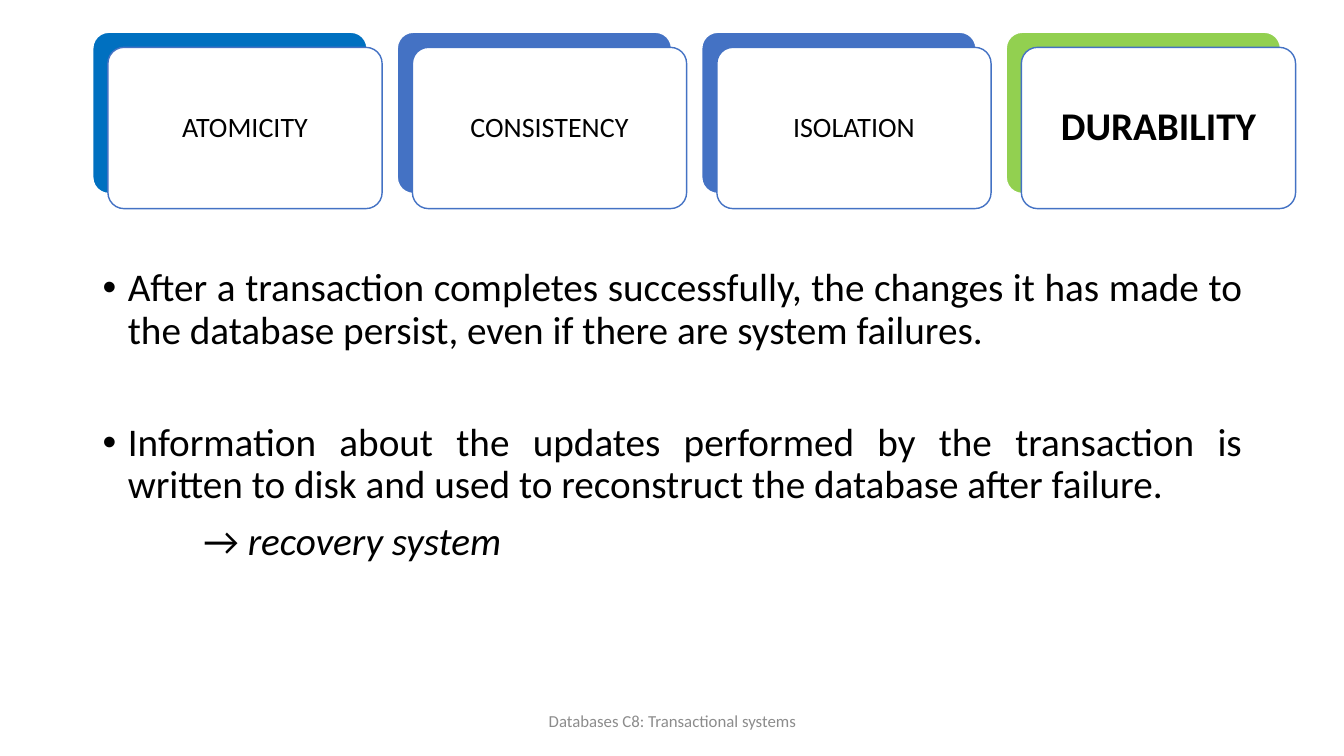
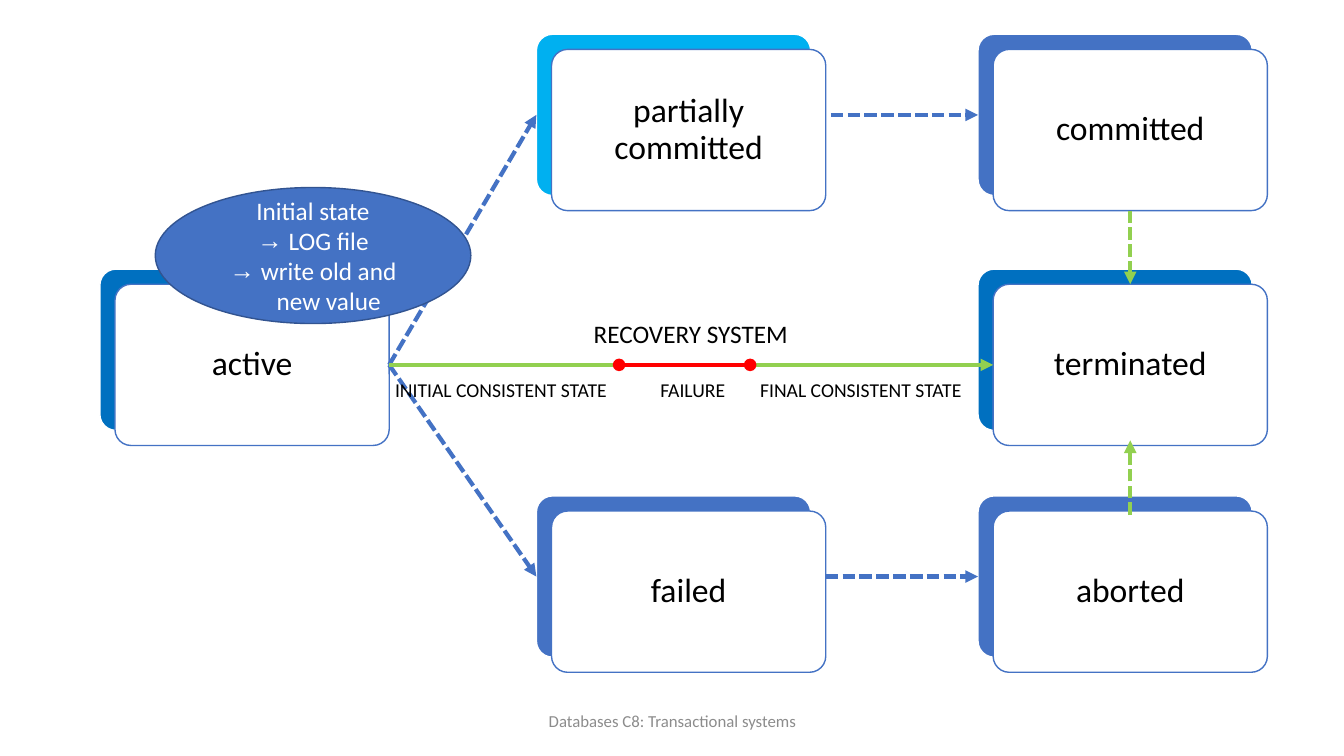
from lxml import etree
from pptx import Presentation
from pptx.dml.color import RGBColor
from pptx.enum.dml import MSO_LINE
from pptx.enum.shapes import MSO_CONNECTOR, MSO_SHAPE as Preset
from pptx.enum.text import MSO_ANCHOR as Anchor, PP_ALIGN as Align
from pptx.oxml.ns import qn
from pptx.util import Inches, Pt

WHITE = RGBColor(0xFF, 0xFF, 0xFF)
BLACK = RGBColor(0x00, 0x00, 0x00)
GRAY = RGBColor(0x8C, 0x8C, 0x8C)
BLUE = RGBColor(0x44, 0x72, 0xC4)
NAVY = RGBColor(0x32, 0x54, 0x91)
DEEP_BLUE = RGBColor(0x00, 0x70, 0xC0)
SKY = RGBColor(0x00, 0xB0, 0xF0)
GREEN = RGBColor(0x92, 0xD0, 0x50)
RED = RGBColor(0xFF, 0x00, 0x00)

TOP, LEFT, BOTTOM, RIGHT = range(4)


class Deck:
    FONT, BULLET_FONT = "Calibri", "Arial"
    FOOTER = "Databases C8: Transactional systems"
    CARD_W, CARD_H, CARD_SHIFT = 2.72, 1.6, 0.15

    def __init__(self):
        self.prs = Presentation()
        self.prs.slide_width, self.prs.slide_height = Inches(13.33), Inches(7.5)
        self.slide = None

    def new_slide(self):
        self.slide = self.prs.slides.add_slide(self.prs.slide_layouts[6])
        self.text(4.42, 6.95, 4.5, 0.4, self.FOOTER, 12, GRAY, Align.CENTER)

    def style(self, paragraph, size, color, align=Align.LEFT, bold=False, italic=False):
        paragraph.alignment = align
        for run in paragraph.runs:
            font = run.font
            font.name, font.size, font.bold, font.italic = self.FONT, Pt(size), bold, italic
            font.color.rgb = color

    def indent(self, paragraph, left, first=0, bullet=None):
        props = paragraph._p.get_or_add_pPr()
        props.set("marL", str(Inches(left)))
        props.set("indent", str(Inches(first)))
        if bullet:
            etree.SubElement(props, qn("a:buFont")).set("typeface", self.BULLET_FONT)
            etree.SubElement(props, qn("a:buChar")).set("char", bullet)

    def text(self, x, y, w, h, words, size, color=BLACK, align=Align.LEFT, wrap=True):
        box = self.slide.shapes.add_textbox(Inches(x), Inches(y), Inches(w), Inches(h))
        frame = box.text_frame
        frame.word_wrap, frame.vertical_anchor = wrap, Anchor.MIDDLE
        frame.text = words
        self.style(frame.paragraphs[0], size, color, align)

    def body(self, x, y, w, h, items, size=28):
        """Each item: words, space before, left indent, bullet."""
        box = self.slide.shapes.add_textbox(Inches(x), Inches(y), Inches(w), Inches(h))
        frame = box.text_frame
        frame.word_wrap = True
        frame.text = "\n".join(item[0] for item in items)
        for paragraph, (_, before, left, bullet) in zip(frame.paragraphs, items):
            paragraph.line_spacing, paragraph.space_before = 0.9, Pt(before)
            self.indent(paragraph, left, -left if bullet else 0, bullet)
            self.style(paragraph, size, BLACK, Align.JUSTIFY if bullet else Align.LEFT)
        return frame.paragraphs

    def shape(self, preset, x, y, w, h, fill, line):
        shape = self.slide.shapes.add_shape(preset, Inches(x), Inches(y), Inches(w), Inches(h))
        shape.shadow.inherit = False
        shape.fill.solid()
        shape.fill.fore_color.rgb = fill
        shape.line.color.rgb = line
        shape.line.width = Pt(1)
        shape.text_frame.word_wrap = True
        shape.text_frame.vertical_anchor = Anchor.MIDDLE
        return shape

    def card(self, x, y, words, accent=BLUE, size=24, bold=False):
        """Coloured plate with a white front; returns both."""
        plates = []
        for shift, fill, line in ((0, accent, WHITE), (self.CARD_SHIFT, WHITE, BLUE)):
            plate = self.shape(Preset.ROUNDED_RECTANGLE, x + shift, y + shift,
                               self.CARD_W, self.CARD_H, fill, line)
            plate.adjustments[0] = 0.1
            plates.append(plate)
        frame = plates[1].text_frame
        frame.margin_left = frame.margin_right = Inches(0.07)
        frame.margin_top = frame.margin_bottom = Inches(0.07)
        frame.text = words
        frame.paragraphs[0].line_spacing = 0.9
        self.style(frame.paragraphs[0], size, BLACK, Align.CENTER, bold)
        return plates

    def connect(self, start, end, color, dashed=True, head=None, tail="triangle"):
        """Each end is an (x, y) point or a (shape, side) pair."""
        points = [(0, 0) if hasattr(e[0], "shape_id") else e for e in (start, end)]
        line = self.slide.shapes.add_connector(
            MSO_CONNECTOR.STRAIGHT, *(Inches(v) for point in points for v in point))
        for spot, join in ((start, line.begin_connect), (end, line.end_connect)):
            if hasattr(spot[0], "shape_id"):
                join(*spot)
        line.line.color.rgb, line.line.width = color, Pt(3)
        if dashed:
            line.line.dash_style = MSO_LINE.SQUARE_DOT
        outline = line.line._get_or_add_ln()
        for tag, kind in (("a:headEnd", head), ("a:tailEnd", tail)):
            if kind:
                etree.SubElement(outline, qn(tag)).set("type", kind)
        etree.SubElement(line._element.spPr, qn("a:effectLst"))


def durability(deck):
    deck.new_slide()
    # Row of properties
    properties = (("ATOMICITY", DEEP_BLUE, 20, False), ("CONSISTENCY", BLUE, 20, False),
                  ("ISOLATION", BLUE, 20, False), ("DURABILITY", GREEN, 28, True))
    for i, (name, accent, size, bold) in enumerate(properties):
        deck.card(0.92 + 3.02 * i, 0.32, name, accent, size, bold)

    # Explanation
    recovery = deck.body(0.92, 2.61, 11.5, 3.5, (
        ("After a transaction completes successfully, the changes it has made to "
         "the database persist, even if there are system failures.", 0, 0.25, "•"),
        ("Information about the updates performed by the transaction is written to disk "
         "and used to reconstruct the database after failure.", 50, 0.25, "•"),
        ("→ ", 10, 1, None)))[-1]
    recovery.add_run().text = "recovery system"
    deck.style(recovery, 28, BLACK)
    recovery.runs[-1].font.italic = True


def transaction_states(deck):
    deck.new_slide()
    # States
    left, middle, right = 0.99, 5.32, 9.7
    upper, center, lower = 0.34, 2.67, 4.92
    _, active = deck.card(left, center, "active", DEEP_BLUE)
    partial_back, _ = deck.card(middle, upper, "partially committed", SKY)
    committed_back, committed = deck.card(right, upper, "committed")
    failed_back, _ = deck.card(middle, lower, "failed")
    aborted_back, _ = deck.card(right, lower, "aborted")
    _, terminated = deck.card(right, center, "terminated", DEEP_BLUE)

    # Transitions
    deck.connect((active, RIGHT), (partial_back, LEFT), BLUE)
    deck.connect((active, RIGHT), (failed_back, LEFT), BLUE)
    deck.connect((8.24, 1.14), (committed_back, LEFT), BLUE)
    deck.connect((8.19, 5.72), (aborted_back, LEFT), BLUE)
    deck.connect((11.21, 5.11), (11.21, 4.37), GREEN)
    deck.connect((committed, BOTTOM), (terminated, TOP), GREEN)

    # Initial state bubble
    bubble = deck.shape(Preset.OVAL, 1.54, 1.86, 3.13, 1.35, BLUE, NAVY)
    bubble.text_frame.text = "Initial state\nLOG file\nwrite old and new value"
    for i, paragraph in enumerate(bubble.text_frame.paragraphs):
        deck.style(paragraph, 18, WHITE, Align.CENTER)
        if i:
            deck.indent(paragraph, 0.31, -0.31, "→")

    # Recovery timeline
    deck.connect((active, RIGHT), (terminated, LEFT), GREEN, dashed=False)
    deck.connect((6.14, 3.62), (7.44, 3.62), RED, dashed=False, head="oval", tail="oval")
    deck.text(5.79, 3.11, 2.14, 0.4, "RECOVERY SYSTEM", 18, wrap=False)
    for x, width, stage in ((3.82, 2.33, "INITIAL CONSISTENT STATE"), (6.45, 0.98, "FAILURE"),
                            (7.44, 2.21, "FINAL CONSISTENT STATE")):
        deck.text(x, 3.7, width, 0.34, stage, 14, wrap=False)


def main():
    deck = Deck()
    durability(deck)
    transaction_states(deck)
    deck.prs.save("out.pptx")


if __name__ == "__main__":
    main()
